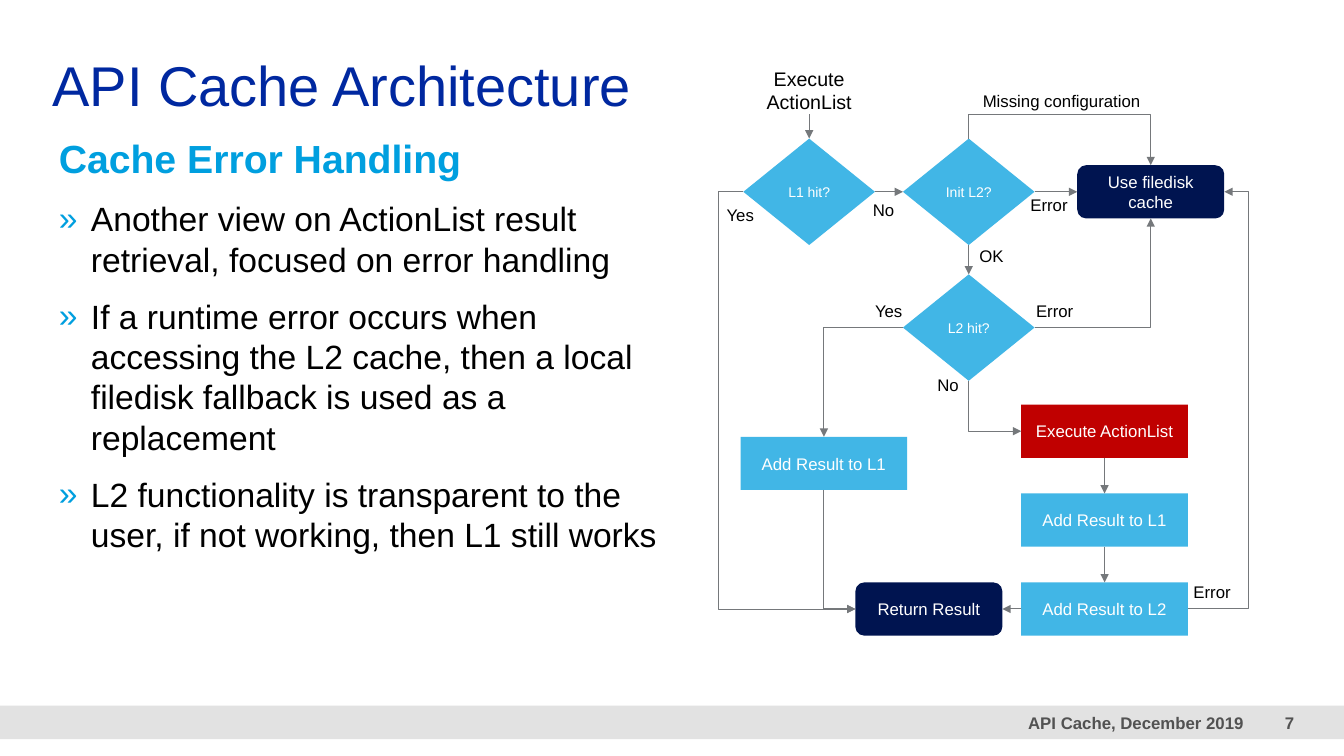
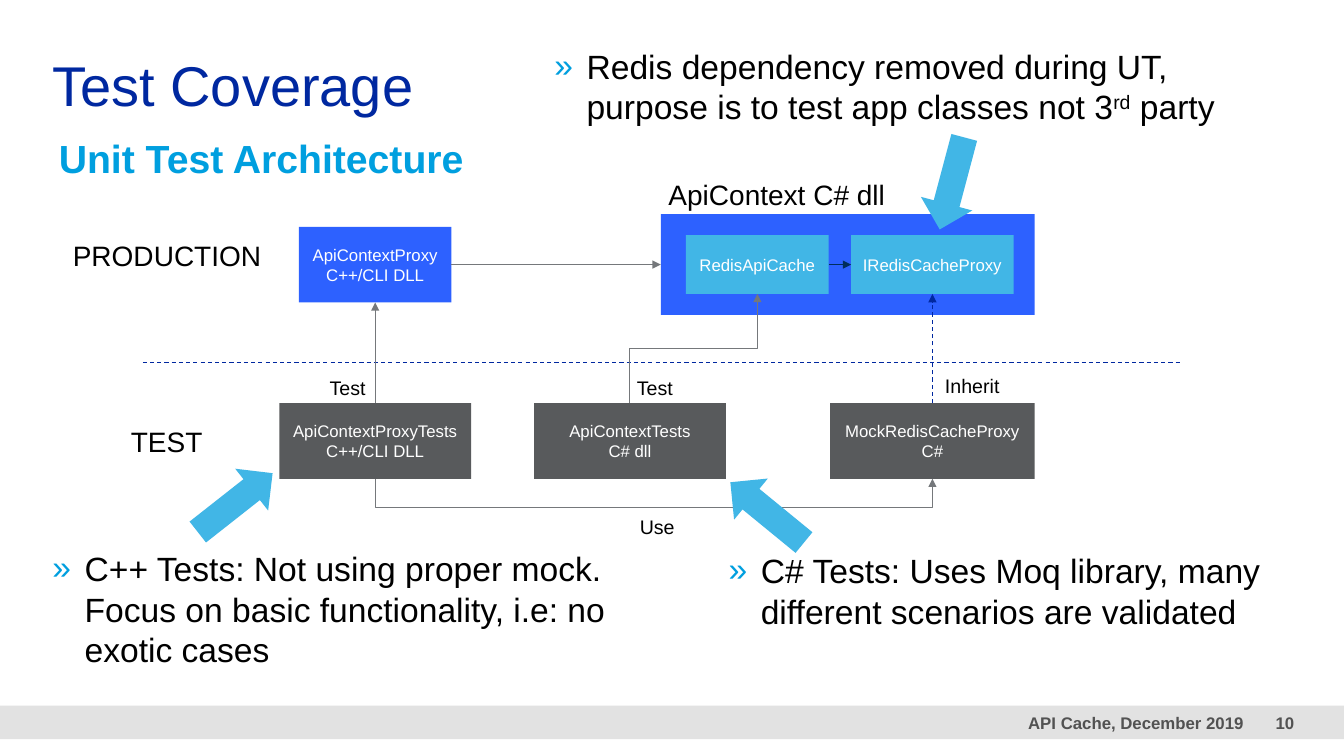
import pptx
import pptx.dml.color
import pptx.enum.dml
import pptx.enum.shapes
import pptx.enum.text
import pptx.oxml
import pptx.oxml.ns
import pptx.util
from lxml import etree

Pt = pptx.util.Pt
SHAPE = pptx.enum.shapes.MSO_SHAPE
CONNECTOR = pptx.enum.shapes.MSO_CONNECTOR
ALIGN = pptx.enum.text.PP_ALIGN
ANCHOR = pptx.enum.text.MSO_ANCHOR
qn = pptx.oxml.ns.qn

FONT = "Arial"
BLUE, CYAN, SKY, NAVY, ROYAL = "0028A0", "009FDF", "41B6E6", "001450", "2D61FF"
RED, SLATE, GREY, INK = "C00000", "585A5C", "75787B", "002E5D"
BAND, FOOTER_TEXT, BLACK, WHITE = "E2E2E2", "525252", "000000", "FFFFFF"
TOP, LEFT, BOTTOM, RIGHT = range(4)
FOOTER = "API Cache, December 2019"
INDENT = 23

DECISION = (SHAPE.FLOWCHART_SORT, 94, 76, SKY, 10, 0)
TERMINAL = (SHAPE.ROUNDED_RECTANGLE, 105, 38, NAVY, 12, 7.2)
STEP = (SHAPE.RECTANGLE, 119, 38, SKY, 12, 7.2)
ALERT = (SHAPE.RECTANGLE, 119, 38, RED, 12, 7.2)


def rgb(code):
    """Turn a hex string into a colour."""
    return pptx.dml.color.RGBColor.from_string(code)


def set_all(target, values):
    """Set each named attribute of the target."""
    for name, value in values.items():
        setattr(target, name, value)


def write(paragraph, text, size, color, bold=False):
    """Add a formatted run to a paragraph."""
    run = paragraph.add_run()
    run.text = text
    set_all(run.font, {"name": FONT, "size": Pt(size), "bold": bold})
    run.font.color.rgb = rgb(color)
    return run


def format_frame(frame, margin=0, anchor=ANCHOR.TOP):
    """Set margins, wrapping and anchor of a text frame."""
    side, edge = Pt(margin), Pt(margin / 2)
    set_all(frame, {"margin_left": side, "margin_right": side,
                    "margin_top": edge, "margin_bottom": edge,
                    "word_wrap": True, "vertical_anchor": anchor,
                    "auto_size": pptx.enum.text.MSO_AUTO_SIZE.NONE})


def add_text_box(slide, box, anchor=ANCHOR.TOP):
    """Add an empty text box."""
    text_box = slide.shapes.add_textbox(*map(Pt, box))
    format_frame(text_box.text_frame, anchor=anchor)
    return text_box


def add_label(slide, text, box, size, color=BLACK, bold=False,
              align=ALIGN.LEFT, anchor=ANCHOR.TOP):
    """Add a text box with one paragraph."""
    label = add_text_box(slide, box, anchor)
    paragraph = label.text_frame.paragraphs[0]
    paragraph.alignment = align
    write(paragraph, text, size, color, bold)
    return label


def add_filled(slide, preset, box, fill):
    """Add a flat preset shape."""
    shape = slide.shapes.add_shape(preset, *map(Pt, box))
    shape.shadow.inherit = False
    shape.fill.solid()
    shape.fill.fore_color.rgb = rgb(fill)
    shape.line.fill.background()
    return shape


def add_node(slide, text, x, y, kind):
    """Add a captioned shape centred on a point."""
    preset, width, height, fill, size, margin = kind
    node = add_filled(slide, preset, (x - width / 2, y - height / 2, width, height), fill)
    frame = node.text_frame
    format_frame(frame, margin, ANCHOR.MIDDLE)
    for index, line in enumerate(text.split("\n")):
        paragraph = frame.add_paragraph() if index else frame.paragraphs[0]
        paragraph.alignment = ALIGN.CENTER
        write(paragraph, line, size, WHITE)
    return node


def add_bullet(paragraph, parts):
    """Make a » bullet from pieces of text, every second one raised."""
    properties = paragraph._p.get_or_add_pPr()
    properties.set("marL", str(int(Pt(INDENT))))
    properties.set("indent", str(-int(Pt(INDENT))))
    bullet_color = etree.SubElement(properties, qn("a:buClr"))
    etree.SubElement(bullet_color, qn("a:srgbClr"), val=CYAN)
    etree.SubElement(properties, qn("a:buFont"), typeface=FONT)
    etree.SubElement(properties, qn("a:buChar"), char="»")
    for index, part in enumerate(parts):
        run = write(paragraph, part, 24, BLACK)
        if index % 2:
            run._r.get_or_add_rPr().set("baseline", "30000")


def finish_line(line, color, dashed=False, arrow=True):
    """Colour a connector and give it its dash and arrowhead."""
    line.line.color.rgb = rgb(color)
    line.line.width = Pt(0.75)
    if dashed:
        line.line.dash_style = pptx.enum.dml.MSO_LINE.DASH
    if arrow:
        outline = line._element.spPr.find(qn("a:ln"))
        etree.SubElement(outline, qn("a:tailEnd"), type="triangle")
    etree.SubElement(line._element.spPr, qn("a:effectLst"))


def join(slide, route, start, start_side, end, end_side):
    """Add a connector joined to two shapes."""
    line = slide.shapes.add_connector(route, 0, 0, 0, 0)
    line.begin_connect(start, start_side)
    line.end_connect(end, end_side)
    return line


def add_arrow(slide, start, start_side, end, end_side, color=GREY, dashed=False):
    """Add a straight arrow between two shapes."""
    finish_line(join(slide, CONNECTOR.STRAIGHT, start, start_side, end, end_side), color, dashed)


def add_elbow(slide, start, start_side, end, end_side, lane=None):
    """Add a bent arrow with one corner, or with two on the given lane."""
    line = join(slide, CONNECTOR.ELBOW, start, start_side, end, end_side)
    x, y = line.begin_x, line.begin_y
    dx, dy = line.end_x - x, line.end_y - y
    vertical = start_side in (TOP, BOTTOM)
    turn, flip_h, flip_v = {
        (False, False): (0, False, True),
        (False, True): (180, dx > 0, True),
        (True, False): (90, True, True),
        (True, True): (270, True, False),
    }[vertical, dy > 0]
    along, across = (dy, dx) if vertical else (dx, dy)
    length, breadth = max(abs(along), int(Pt(0.1))), abs(across)
    set_all(line, {"left": int(x + (dx - length) / 2) if vertical else min(x, x + dx),
                   "top": int(y + (dy - breadth) / 2) if vertical else min(y, y + dy),
                   "width": length, "height": breadth})
    frame = line._element.spPr.xfrm
    for name, value in (("rot", turn * 60000), ("flipH", int(flip_h)), ("flipV", int(flip_v))):
        frame.set(name, str(value))
    outline = line._element.spPr.find(qn("a:prstGeom"))
    if lane is None:
        outline.set("prst", "bentConnector2")
    else:
        offset = Pt(lane) - (y if vertical else x)
        share = offset / length * (1 if along > 0 else -1)
        etree.SubElement(outline.find(qn("a:avLst")), qn("a:gd"), name="adj1",
                         fmla=f"val {round(share * 100000)}")
    finish_line(line, GREY)


def add_footer(slide, number):
    """Draw the band with the deck name and slide number."""
    add_filled(slide, SHAPE.RECTANGLE, (0, 504, 960, 24), BAND)
    for text, left, width in ((FOOTER, 450, 438.5), (number, 888.5, 36)):
        add_label(slide, text, (left, 504, width, 24), 12, FOOTER_TEXT, True,
                  ALIGN.RIGHT, ANCHOR.MIDDLE)


def start_slide(deck, title, heading, number, width, height):
    """Add a slide with title, heading and footer; return it and its body."""
    slide = deck.slides.add_slide(deck.slide_layouts[5])
    add_footer(slide, number)
    holder = slide.shapes.title
    set_all(holder, {"left": Pt(37.5), "top": Pt(36), "width": Pt(420), "height": Pt(48)})
    format_frame(holder.text_frame, anchor=ANCHOR.BOTTOM)
    holder.text_frame.paragraphs[0].alignment = ALIGN.LEFT
    write(holder.text_frame.paragraphs[0], title, 40, BLUE)
    body = add_label(slide, heading, (42, 96, width, height), 28, CYAN, True)
    return slide, body


def add_cache_flow(slide, left, top):
    """Draw the cache decision flow from its top left corner."""
    def node(text, x, y, kind):
        """Place a node relative to the flow."""
        return add_node(slide, text, left + x, top + y, kind)

    entry_x, l2_x, work_x, left_x = 68, 182, 279, 78.5
    first_y, second_y, work_y, pitch = 97, 194, 268, 63.5
    last_y = work_y + 2 * pitch
    entry = add_label(slide, "Execute ActionList", (left + entry_x - 41, top + 7.5, 82, 34),
                      14, align=ALIGN.CENTER)
    l1_hit = node("L1 hit?", entry_x, first_y, DECISION)
    init_l2 = node("Init L2?", l2_x, first_y, DECISION)
    filedisk = node("Use filedisk cache", 312, first_y, TERMINAL)
    l2_hit = node("L2 hit?", l2_x, second_y, DECISION)
    execute = node("Execute ActionList", work_x, work_y, ALERT)
    store_l1 = node("Add Result to L1", work_x, work_y + pitch, STEP)
    store_l2 = node("Add Result to L2", work_x, last_y, STEP)
    refill_l1 = node("Add Result to L1", left_x, 291, STEP)
    result = node("Return Result", 153.5, last_y, TERMINAL)

    for arrow in ((entry, BOTTOM, l1_hit, TOP), (l1_hit, RIGHT, init_l2, LEFT),
                  (init_l2, RIGHT, filedisk, LEFT), (init_l2, BOTTOM, l2_hit, TOP),
                  (execute, BOTTOM, store_l1, TOP), (store_l1, BOTTOM, store_l2, TOP),
                  (store_l2, LEFT, result, RIGHT)):
        add_arrow(slide, *arrow)
    for elbow in ((l2_hit, BOTTOM, execute, LEFT), (l2_hit, RIGHT, filedisk, BOTTOM),
                  (l2_hit, LEFT, refill_l1, TOP), (refill_l1, BOTTOM, result, LEFT),
                  (store_l2, RIGHT, filedisk, RIGHT, left + 381.5),
                  (init_l2, TOP, filedisk, TOP, top + 41.5),
                  (l1_hit, LEFT, result, LEFT, left + 3.5)):
        add_elbow(slide, *elbow)
    for text, x, y in (("Missing configuration", 192, 25), ("Yes", 9, 106), ("No", 113.5, 102.5),
                       ("Error", 226, 99), ("OK", 189.5, 135.5), ("Yes", 115, 174.5),
                       ("Error", 230, 174.5), ("No", 159.5, 228), ("Error", 342.5, 375.5)):
        add_label(slide, text, (left + x, top + y, 128 if len(text) > 5 else 34, 14.5), 12)


def add_test_map(slide, left, top):
    """Draw production and test parts from the top left corner."""
    def box(text, x, y, width, height, fill):
        """Place a box relative to the map."""
        kind = (SHAPE.RECTANGLE, width, height, fill, 12, 7.2)
        return add_node(slide, text, left + x, top + y, kind)

    proxy_x, context_x, cache_x, mock_x = 218, 400, 491, 616
    live_y, test_y = 79, 205
    context_dll = add_filled(slide, SHAPE.RECTANGLE, (left + 422, top + live_y - 36, 267, 72), ROYAL)
    proxy = box("ApiContextProxy\nC++/CLI DLL", proxy_x, live_y, 109, 54, ROYAL)
    cache = box("RedisApiCache", cache_x, live_y, 102, 42, SKY)
    cache_proxy = box("IRedisCacheProxy", mock_x, live_y, 116, 42, SKY)
    proxy_tests = box("ApiContextProxyTests\nC++/CLI DLL", proxy_x, test_y, 137, 54, SLATE)
    context_tests = box("ApiContextTests\nC# dll", context_x, test_y, 137, 54, SLATE)
    mock = box("MockRedisCacheProxy\nC#", mock_x, test_y, 146, 54, SLATE)

    divider = slide.shapes.add_connector(
        CONNECTOR.STRAIGHT, *map(Pt, (left + 52, top + 149, left + 793, top + 149)))
    finish_line(divider, BLUE, dashed=True, arrow=False)
    add_arrow(slide, proxy, RIGHT, context_dll, LEFT)
    add_arrow(slide, cache, RIGHT, cache_proxy, LEFT, INK)
    add_arrow(slide, proxy_tests, TOP, proxy, BOTTOM)
    add_arrow(slide, mock, TOP, cache_proxy, BOTTOM, BLUE, True)
    add_elbow(slide, proxy_tests, BOTTOM, mock, BOTTOM, top + 250)
    add_elbow(slide, context_tests, TOP, cache, BOTTOM, top + 139)

    for text, x, y, width, size in (
            ("ApiContext C# dll", 427.5, 17, 160, 20), ("PRODUCTION", 2, 60, 140, 20),
            ("TEST", 43.5, 193, 60, 20), ("Test", 185.5, 158.5, 30, 14),
            ("Test", 405, 158.5, 30, 14), ("Inherit", 625, 157, 44, 14), ("Use", 407, 258, 30, 14)):
        add_label(slide, text, (left + x, top + y, width, size * 1.2), size)
    for x, y, angle in ((118, 249, 321.8), (498, 256, 219.3), (630, 21, 104.9)):
        pointer = add_filled(slide, SHAPE.RIGHT_ARROW, (left + x - 34, top + y - 19, 68, 38), SKY)
        pointer.rotation = angle


def build_error_slide(deck):
    """Build the slide on cache error handling."""
    slide, body = start_slide(deck, "API Cache Architecture", "Cache Error Handling", "7", 435, 361)
    for text in (
            "Another view on ActionList result retrieval, focused on error handling",
            "If a runtime error occurs when accessing the L2 cache, then a local filedisk "
            "fallback is used as a replacement",
            "L2 functionality is transparent to the user, if not working, then L1 still works"):
        point = body.text_frame.add_paragraph()
        point.space_before = Pt(12)
        add_bullet(point, [text])
    add_cache_flow(slide, 510, 40)


def build_test_slide(deck):
    """Build the slide on the unit test architecture."""
    slide, _ = start_slide(deck, "Test Coverage", "Unit Test Architecture", "10", 348, 41)
    add_test_map(slide, 50, 110)
    for x, y, width, parts in (
            (37.5, 391.5, 401, ["C++ Tests: Not using proper mock. Focus on basic functionality, "
                                "i.e: no exotic cases"]),
            (520.5, 393, 401, ["C# Tests: Uses Moq library, many different scenarios are validated"]),
            (396, 32.5, 508, ["Redis dependency removed during UT, purpose is to test app classes "
                              "not 3", "rd", " party"])):
        note = add_text_box(slide, (x, y, width, 90))
        add_bullet(note.text_frame.paragraphs[0], parts)


def main():
    """Build and save the deck."""
    deck = pptx.Presentation()
    set_all(deck, {"slide_width": Pt(960), "slide_height": Pt(540)})
    build_error_slide(deck)
    build_test_slide(deck)
    deck.save("out.pptx")


if __name__ == "__main__":
    main()
